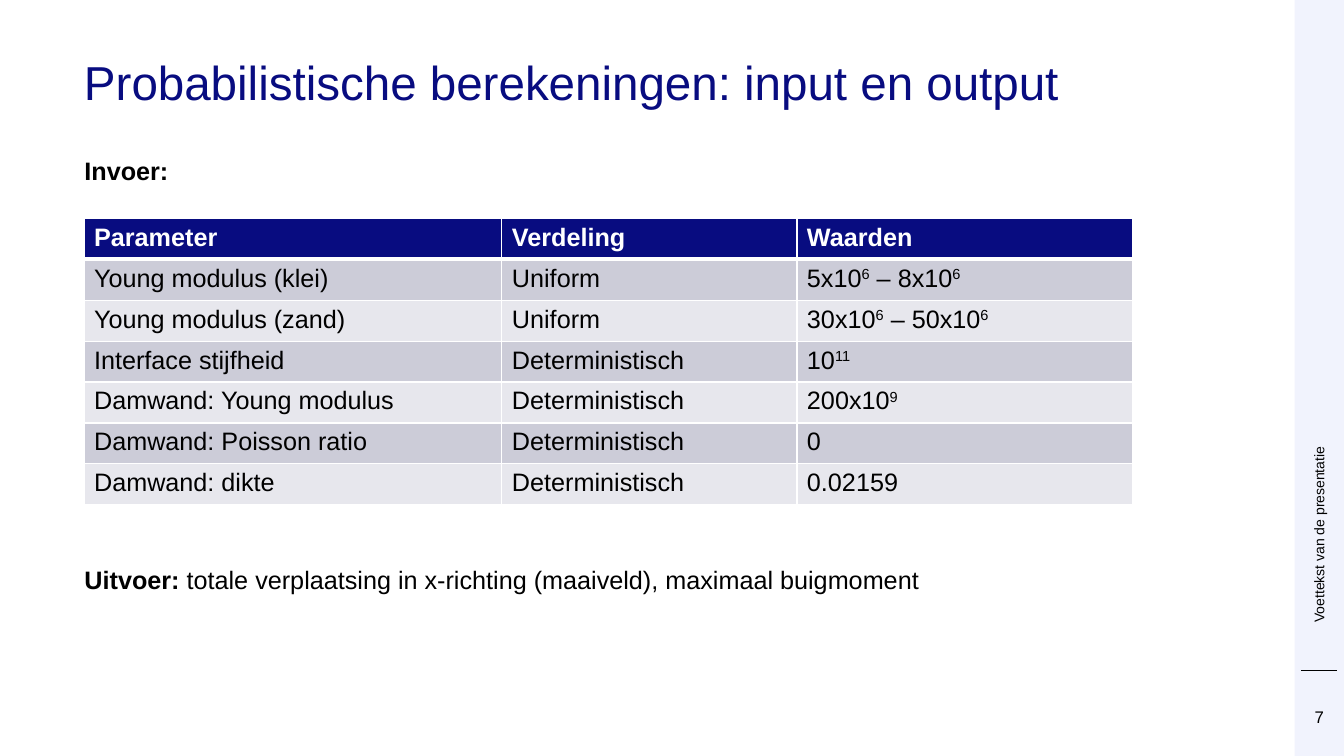
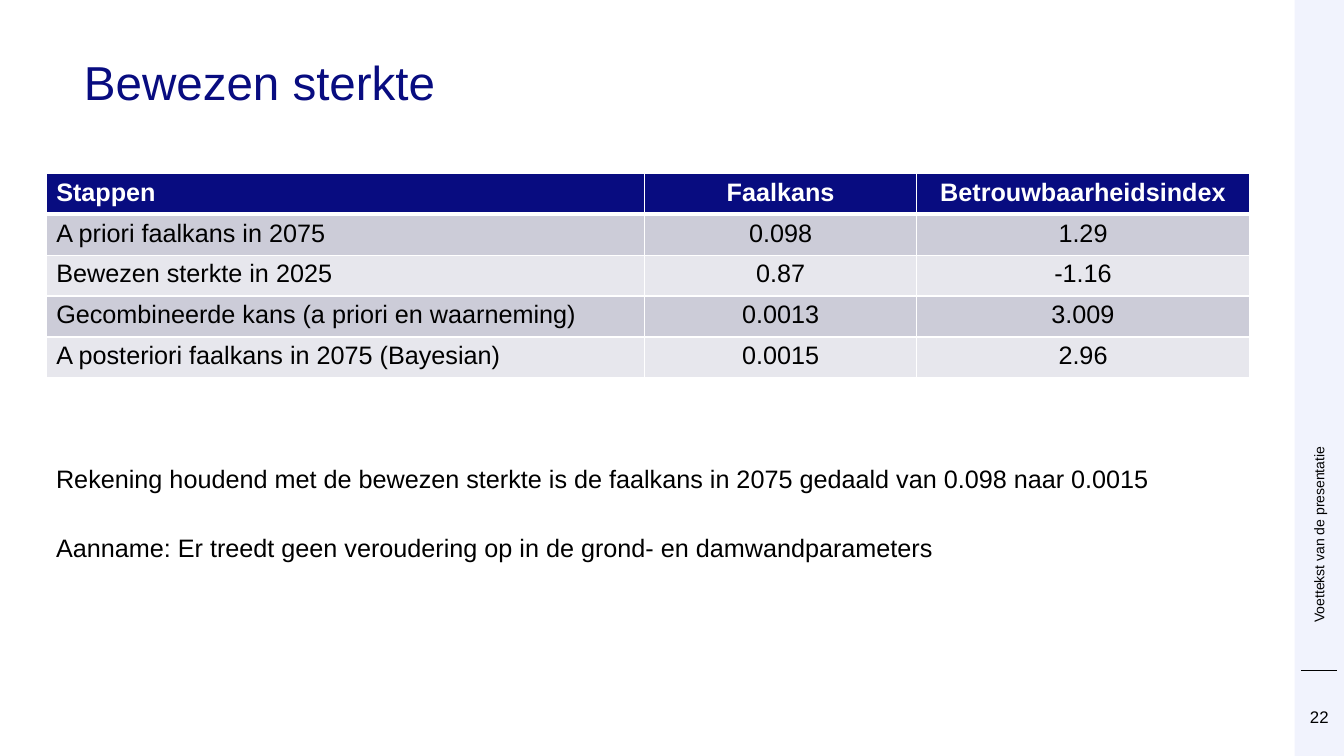
from pptx import Presentation
from pptx.dml.color import RGBColor as Color
from pptx.enum.shapes import MSO_CONNECTOR as Link, MSO_SHAPE as Shape
from pptx.enum.text import MSO_ANCHOR as Anchor, PP_ALIGN as Align
from pptx.oxml import parse_xml
from pptx.oxml.ns import nsdecls, qn
from pptx.util import Pt
from lxml.etree import SubElement

PX = 9525
FONT = "Arial"
NAVY = Color(0x08, 0x0C, 0x80)
PALE = Color(0xF1, 0xF3, 0xFD)
DARK = Color(0xCC, 0xCC, 0xD8)
LIGHT = Color(0xE7, 0xE7, 0xED)
BLACK = Color(0, 0, 0)
WHITE = Color(255, 255, 255)
ROW = 39
FOOTER = "Voettekst van de presentatie"

PAGES = [
    {
        "title": "Probabilistische berekeningen: input en output",
        "number": "7",
        "at": (80, 208),
        "cols": (398, 281, 320),
        "aligns": (Align.LEFT, Align.LEFT, Align.LEFT),
        "rows": [
            ("Parameter", "Verdeling", "Waarden"),
            ("Young modulus (klei)", "Uniform", "5x10^6^ – 8x10^6"),
            ("Young modulus (zand)", "Uniform", "30x10^6^ – 50x10^6"),
            ("Interface stijfheid", "Deterministisch", "10^11"),
            ("Damwand: Young modulus", "Deterministisch", "200x10^9"),
            ("Damwand: Poisson ratio", "Deterministisch", "0"),
            ("Damwand: dikte", "Deterministisch", "0.02159"),
        ],
        "wrap": False,
        "notes": [
            (71, 143, 100, "Invoer:", ""),
            (71, 533, 822, "Uitvoer:",
             " totale verplaatsing in x-richting (maaiveld), maximaal buigmoment"),
        ],
    },
    {
        "title": "Bewezen sterkte",
        "number": "22",
        "at": (44, 165),
        "cols": (570, 259, 317),
        "aligns": (Align.LEFT, Align.CENTER, Align.CENTER),
        "rows": [
            ("Stappen", "Faalkans", "Betrouwbaarheidsindex"),
            ("A priori faalkans in 2075", "0.098", "1.29"),
            ("Bewezen sterkte in 2025", "0.87", "-1.16"),
            ("Gecombineerde kans (a priori en waarneming)", "0.0013", "3.009"),
            ("A posteriori faalkans in 2075 (Bayesian)", "0.0015", "2.96"),
        ],
        "wrap": True,
        "notes": [
            (44, 437, 1109, "",
             "Rekening houdend met de bewezen sterkte is de faalkans in 2075 "
             "gedaald van 0.098 naar 0.0015"),
            (44, 502, 1109, "",
             "Aanname: Er treedt geen veroudering op in de grond- en damwandparameters"),
        ],
    },
]


def add_run(par, text, size=18, color=BLACK, bold=False):
    run = par.add_run()
    run.text = text
    run.font.name = FONT
    run.font.size = Pt(size)
    run.font.color.rgb = color
    run.font.bold = bold
    return run


def add_box(slide, x, y, w, h, inset=False, wrap=True):
    box = slide.shapes.add_textbox(x * PX, y * PX, w * PX, h * PX)
    frame = box.text_frame
    frame.word_wrap = wrap
    if not inset:
        frame.margin_left = frame.margin_right = 0
        frame.margin_top = frame.margin_bottom = 0
    return box


deck = Presentation()
deck.slide_width = 1280 * PX
deck.slide_height = 720 * PX

for page in PAGES:
    slide = deck.slides.add_slide(deck.slide_layouts[6])

    band = slide.shapes.add_shape(Shape.RECTANGLE, 1233 * PX, 0, 47 * PX, 720 * PX)
    band.shadow.inherit = False
    band.fill.solid()
    band.fill.fore_color.rgb = PALE
    band.line.fill.background()

    rule = slide.shapes.add_connector(
        Link.STRAIGHT, 1239 * PX, 638 * PX, 1273 * PX, 638 * PX)
    rule.line.color.rgb = BLACK
    rule.line.width = Pt(0.5)
    SubElement(rule.element.spPr, qn("a:effectLst"))

    title = add_box(slide, 80, 57, 1104, 98)
    par = title.text_frame.paragraphs[0]
    par.line_spacing = 0.9
    add_run(par, page["title"], 34, NAVY)

    footer = add_box(slide, 1248, 57, 16, 536)
    footer.text_frame.vertical_anchor = Anchor.MIDDLE
    footer.element.txBody.bodyPr.set("vert", "vert270")
    add_run(footer.text_frame.paragraphs[0], FOOTER, 10)

    number = add_box(slide, 1233, 673, 47, 19)
    par = number.text_frame.paragraphs[0]
    par.alignment = Align.CENTER
    add_run(par, page["number"], 12)

    x, y = page["at"]
    rows, cols = page["rows"], page["cols"]
    table = slide.shapes.add_table(
        len(rows), len(cols), x * PX, y * PX,
        sum(cols) * PX, len(rows) * ROW * PX).table
    for col, width in zip(table.columns, cols):
        col.width = width * PX
    for r, row in enumerate(rows):
        table.rows[r].height = ROW * PX
        head = r == 0
        for c, text in enumerate(row):
            cell = table.cell(r, c)
            cell.fill.solid()
            cell.fill.fore_color.rgb = NAVY if head else DARK if r % 2 else LIGHT
            par = cell.text_frame.paragraphs[0]
            par.alignment = page["aligns"][c]
            for i, part in enumerate(text.split("^")):
                run = add_run(par, part, 18, WHITE if head else BLACK, head)
                if i % 2:
                    run.font.element.set("baseline", "30000") if hasattr(
                        run.font, "element") else run._r.get_or_add_rPr().set(
                        "baseline", "30000")
            props = cell._tc.get_or_add_tcPr()
            for i, side in enumerate("LRTB"):
                thick = (r, side) in ((0, "B"), (1, "T"))
                props.insert(i, parse_xml(
                    f'<a:ln{side} {nsdecls("a")} w="{Pt(3 if thick else 1)}">'
                    f'<a:solidFill><a:srgbClr val="{WHITE}"/></a:solidFill>'
                    f'</a:ln{side}>'))

    for x, y, w, strong, plain in page["notes"]:
        note = add_box(slide, x, y, w, 38, inset=True, wrap=page["wrap"])
        par = note.text_frame.paragraphs[0]
        for text, bold in ((strong, True), (plain, False)):
            if text:
                add_run(par, text, bold=bold)

deck.save("out.pptx")
